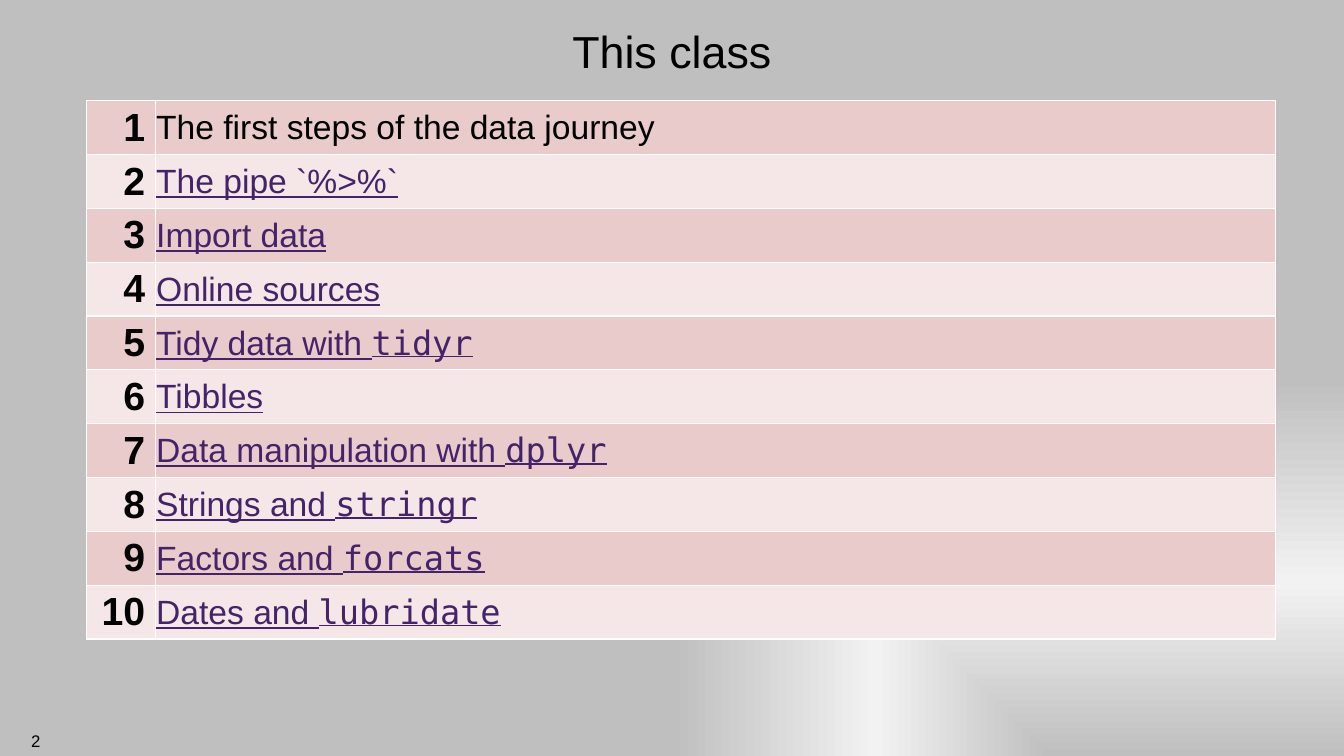
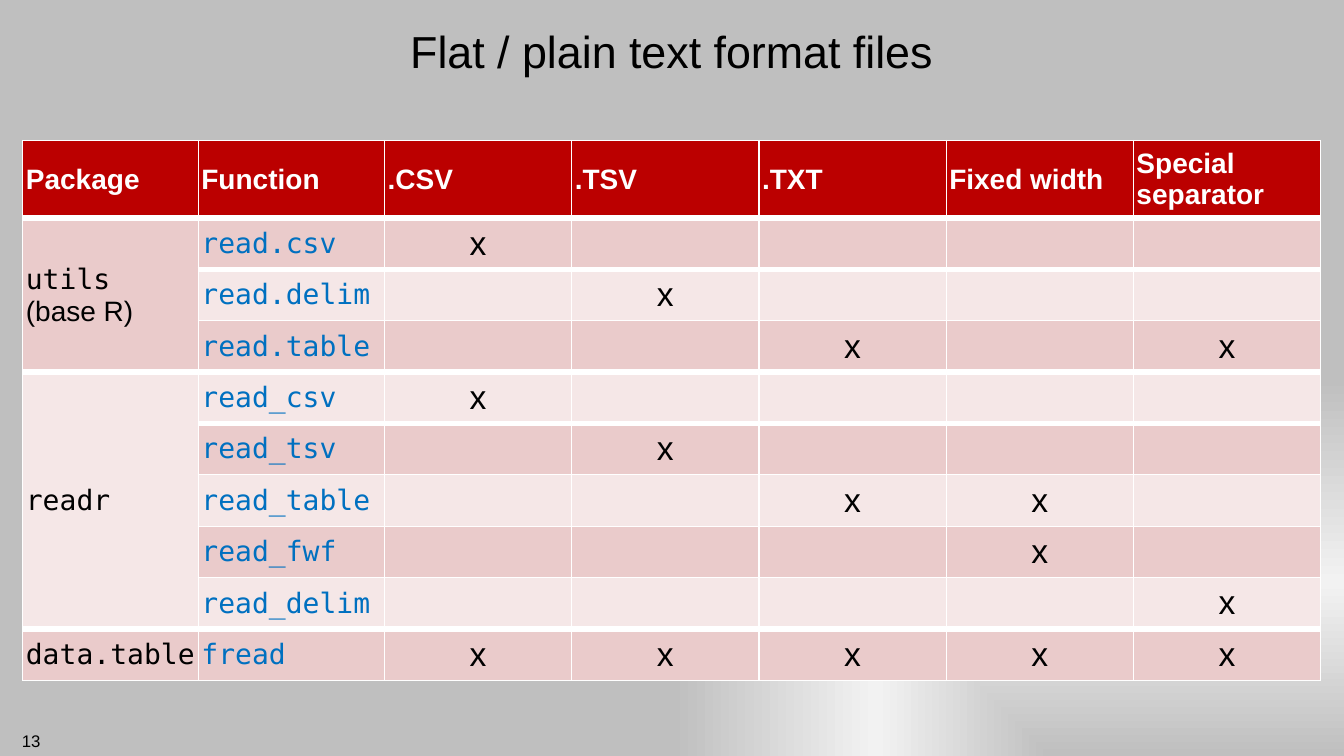
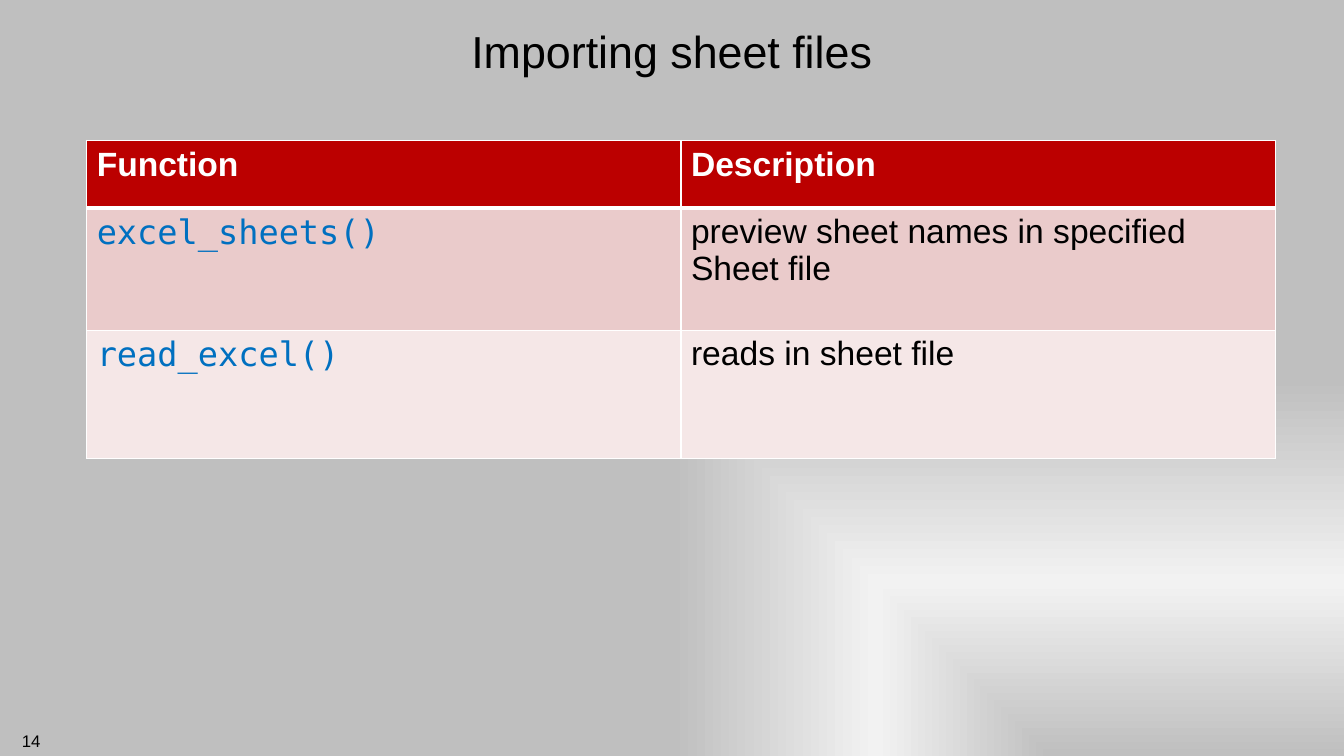
"""Build three slides on importing data, each holding one table."""
import dataclasses
import itertools
import typing

import pptx
import pptx.dml.color
import pptx.enum.text
import pptx.oxml
import pptx.oxml.ns
import pptx.util

Pt = pptx.util.Pt
PP_ALIGN = pptx.enum.text.PP_ALIGN
MIDDLE = pptx.enum.text.MSO_ANCHOR.MIDDLE
TOP = pptx.enum.text.MSO_ANCHOR.TOP

SANS, MONO = "Arial", "DejaVu Sans Mono"
BLACK, WHITE = "000000", "FFFFFF"
HEADER_RED, PINK, PALE_PINK = "BB0000", "EACBCB", "F5E7E7"
LINK_PURPLE, CODE_BLUE = "442369", "0070C0"
GREY, LIGHT_GREY = "BFBFBF", "F2F2F2"
TITLE_ONLY = 5
THIN = 1
INSET = 7.2
EDGES = ("L", "R", "T", "B")


@dataclasses.dataclass(frozen=True)
class Style:
    """The look of one paragraph."""

    size: float
    color: str = BLACK
    font: str = SANS
    bold: bool = False
    underline: bool = False
    align: PP_ALIGN = PP_ALIGN.LEFT


@dataclasses.dataclass(frozen=True)
class Entry:
    """The content of one table cell, with insets left, top, right, bottom."""

    lead: str
    style: Style
    tail: str = ""
    tail_font: str = MONO
    insets: tuple[float, float, float, float] = (INSET, INSET / 2, INSET, INSET / 2)


@dataclasses.dataclass(frozen=True)
class Grid:
    """A table with its place, sizes, entries, merges and heavy row lines."""

    left: float
    top: float
    widths: list[float]
    heights: list[float]
    rows: list[list[typing.Optional[Entry]]]
    anchor: pptx.enum.text.MSO_ANCHOR = MIDDLE
    has_header: bool = True
    merges: tuple[tuple[int, int], ...] = ()
    heavy_after: tuple[int, ...] = ()
    heavy: float = 4.5


@dataclasses.dataclass(frozen=True)
class Page:
    """A slide's title, number and table."""

    title: str
    number: int
    grid: Grid


def rgb(value: str) -> pptx.dml.color.RGBColor:
    """Turn a hex string into a colour."""
    return pptx.dml.color.RGBColor.from_string(value)


def format_paragraph(paragraph, style: Style) -> None:
    """Apply a style to a paragraph."""
    paragraph.alignment = style.align
    font = paragraph.font
    font.size, font.name = Pt(style.size), style.font
    font.bold, font.underline = style.bold, style.underline
    font.color.rgb = rgb(style.color)


def set_insets(target, insets: tuple[float, float, float, float]) -> None:
    """Set the four margins of a cell or text frame."""
    for side, inset in zip(("left", "top", "right", "bottom"), insets):
        setattr(target, f"margin_{side}", Pt(inset))


def paint_background(master) -> None:
    """Give the master a grey gradient spreading from the lower right corner."""
    master.background.fill.gradient()
    old = master.element.xpath(".//p:bgPr/a:gradFill")[0]
    stops = "".join(
        f'<a:gs pos="{place * 1000}"><a:srgbClr val="{color}"/></a:gs>'
        for place, color in ((0, GREY), (46, LIGHT_GREY), (100, GREY))
    )
    gradient = pptx.oxml.parse_xml(
        f'<a:gradFill {pptx.oxml.ns.nsdecls("a")} rotWithShape="1"><a:gsLst>{stops}</a:gsLst>'
        '<a:path path="rect"><a:fillToRect l="100000" t="100000"/></a:path></a:gradFill>'
    )
    old.getparent().replace(old, gradient)


def draw_title(slide, title: str) -> None:
    """Place and format the title placeholder."""
    holder = slide.shapes.title
    holder.left, holder.top, holder.width, holder.height = Pt(72), Pt(0), Pt(816), Pt(72)
    frame = holder.text_frame
    frame.text = title
    frame.vertical_anchor = MIDDLE
    set_insets(frame, (INSET,) * 4)
    format_paragraph(frame.paragraphs[0], Style(32, align=PP_ALIGN.CENTER))


def draw_number(slide, number: int) -> None:
    """Write the slide number in the lower left corner."""
    frame = slide.shapes.add_textbox(Pt(0), Pt(518.4), Pt(36), Pt(21.6)).text_frame
    frame.word_wrap = True
    frame.text = str(number)
    format_paragraph(frame.paragraphs[0], Style(12, align=PP_ALIGN.RIGHT))


def draw_borders(cell, above: float, below: float) -> None:
    """Draw white cell borders with the given top and bottom widths."""
    properties = cell._tc.get_or_add_tcPr()
    for place, (edge, width) in enumerate(zip(EDGES, (THIN, THIN, above, below))):
        line = pptx.oxml.parse_xml(
            f'<a:ln{edge} {pptx.oxml.ns.nsdecls("a")} w="{int(Pt(width))}">'
            f'<a:solidFill><a:srgbClr val="{WHITE}"/></a:solidFill></a:ln{edge}>'
        )
        properties.insert(place, line)


def fill_entry(cell, entry: Entry) -> None:
    """Write an entry into a cell."""
    set_insets(cell, entry.insets)
    paragraph = cell.text_frame.paragraphs[0]
    lead, *broken = entry.lead.split("\n")
    paragraph.add_run().text = lead
    if broken:
        paragraph.add_line_break()
    format_paragraph(paragraph, entry.style)
    if entry.tail:
        tail = paragraph.add_run()
        tail.text, tail.font.name = entry.tail, entry.tail_font


def draw_grid(slide, grid: Grid) -> None:
    """Draw a banded table."""
    table = slide.shapes.add_table(
        len(grid.heights), len(grid.widths), Pt(grid.left), Pt(grid.top),
        Pt(sum(grid.widths)), Pt(sum(grid.heights)),
    ).table
    table.first_row, table.horz_banding = grid.has_header, False
    for column, width in zip(table.columns, grid.widths):
        column.width = Pt(width)
    for row, height in zip(table.rows, grid.heights):
        row.height = Pt(height)
    for first, last in grid.merges:
        table.cell(first, 0).merge(table.cell(last, 0))
    line_widths = [grid.heavy if r in grid.heavy_after else THIN for r in range(len(grid.rows))]
    bands = itertools.cycle((PINK, PALE_PINK))
    for r, entries in enumerate(grid.rows):
        band = HEADER_RED if grid.has_header and r == 0 else next(bands)
        for c, entry in enumerate(entries):
            cell = table.cell(r, c)
            cell.fill.solid()
            cell.fill.fore_color.rgb = rgb(band)
            cell.vertical_anchor = grid.anchor
            if not cell.is_spanned:
                draw_borders(cell, line_widths[r - 1] if r else THIN, line_widths[r])
            if entry:
                fill_entry(cell, entry)


def class_grid() -> Grid:
    """List the topics of the class."""
    topics = (
        ("The first steps of the data journey", ""),
        ("The pipe `%>%`", ""),
        ("Import data", ""),
        ("Online sources", ""),
        ("Tidy data with ", "tidyr"),
        ("Tibbles", ""),
        ("Data manipulation with ", "dplyr"),
        ("Strings and ", "stringr"),
        ("Factors and ", "forcats"),
        ("Dates and ", "lubridate"),
    )
    counter = Style(28, bold=True, align=PP_ALIGN.RIGHT)
    current, linked = Style(24), Style(24, LINK_PURPLE, underline=True)
    rows = [
        [
            Entry(str(n), counter, insets=(INSET, 0, INSET, 0)),
            Entry(topic, current if n == 1 else linked, package, insets=(0.7, 0.7, 0.7, 0)),
        ]
        for n, (topic, package) in enumerate(topics, 1)
    ]
    return Grid(61.9, 72, [49, 800], [38.45] * len(rows), rows, has_header=False)


def format_grid() -> Grid:
    """Show which function reads which flat file format."""
    headings = ("Package", "Function", ".CSV", ".TSV", ".TXT", "Fixed width", "Special separator")
    readers = (
        ("read.csv", "x----"),
        ("read.delim", "-x---"),
        ("read.table", "--x-x"),
        ("read_csv", "x----"),
        ("read_tsv", "-x---"),
        ("read_table", "--xx-"),
        ("read_fwf", "---x-"),
        ("read_delim", "----x"),
        ("fread", "xxxxx"),
    )
    tight = (2.2,) * 4
    heading = Style(20, WHITE, bold=True)
    package, function = Style(20, font=MONO), Style(20, CODE_BLUE, MONO)
    mark = Entry("x", Style(24, align=PP_ALIGN.CENTER), insets=tight)
    packages = {
        0: Entry("utils \n", package, "(base R)", SANS, tight),
        3: Entry("readr", package, insets=tight),
        8: Entry("data.table", package, insets=tight),
    }
    rows = [[Entry(text, heading, insets=tight) for text in headings]]
    rows += [
        [packages.get(n), Entry(name, function, insets=tight)]
        + [mark if flag == "x" else None for flag in flags]
        for n, (name, flags) in enumerate(readers)
    ]
    return Grid(
        16.3, 100.4, [125.4, 133] + [133.75] * 5, [55.4] + [36.7] * len(readers), rows,
        merges=((1, 3), (4, 8)), heavy_after=(0, 1, 3, 4, 8),
    )


def sheet_grid() -> Grid:
    """Describe the functions that read sheet files."""
    heading, code, plain = Style(24, WHITE, bold=True), Style(24, CODE_BLUE, MONO), Style(24)
    lines = (
        ("Function", "Description"),
        ("excel_sheets()", "preview sheet names in specified Sheet file"),
        ("read_excel()", "reads in sheet file"),
    )
    rows = [
        [Entry(text, style) for text, style in zip(line, styles)]
        for line, styles in zip(lines, ((heading, heading), (code, plain), (code, plain)))
    ]
    return Grid(61.9, 100.4, [424.5] * 2, [48.2, 87.4, 91.6], rows, TOP, heavy_after=(0,), heavy=3)


def main() -> None:
    """Build and save the presentation."""
    deck = pptx.Presentation()
    deck.slide_width, deck.slide_height = Pt(960), Pt(540)
    paint_background(deck.slide_master)
    pages = (
        Page("This class", 2, class_grid()),
        Page("Flat / plain text format files", 13, format_grid()),
        Page("Importing sheet files", 14, sheet_grid()),
    )
    for page in pages:
        slide = deck.slides.add_slide(deck.slide_layouts[TITLE_ONLY])
        draw_number(slide, page.number)
        draw_title(slide, page.title)
        draw_grid(slide, page.grid)
    deck.save("out.pptx")


if __name__ == "__main__":
    main()
